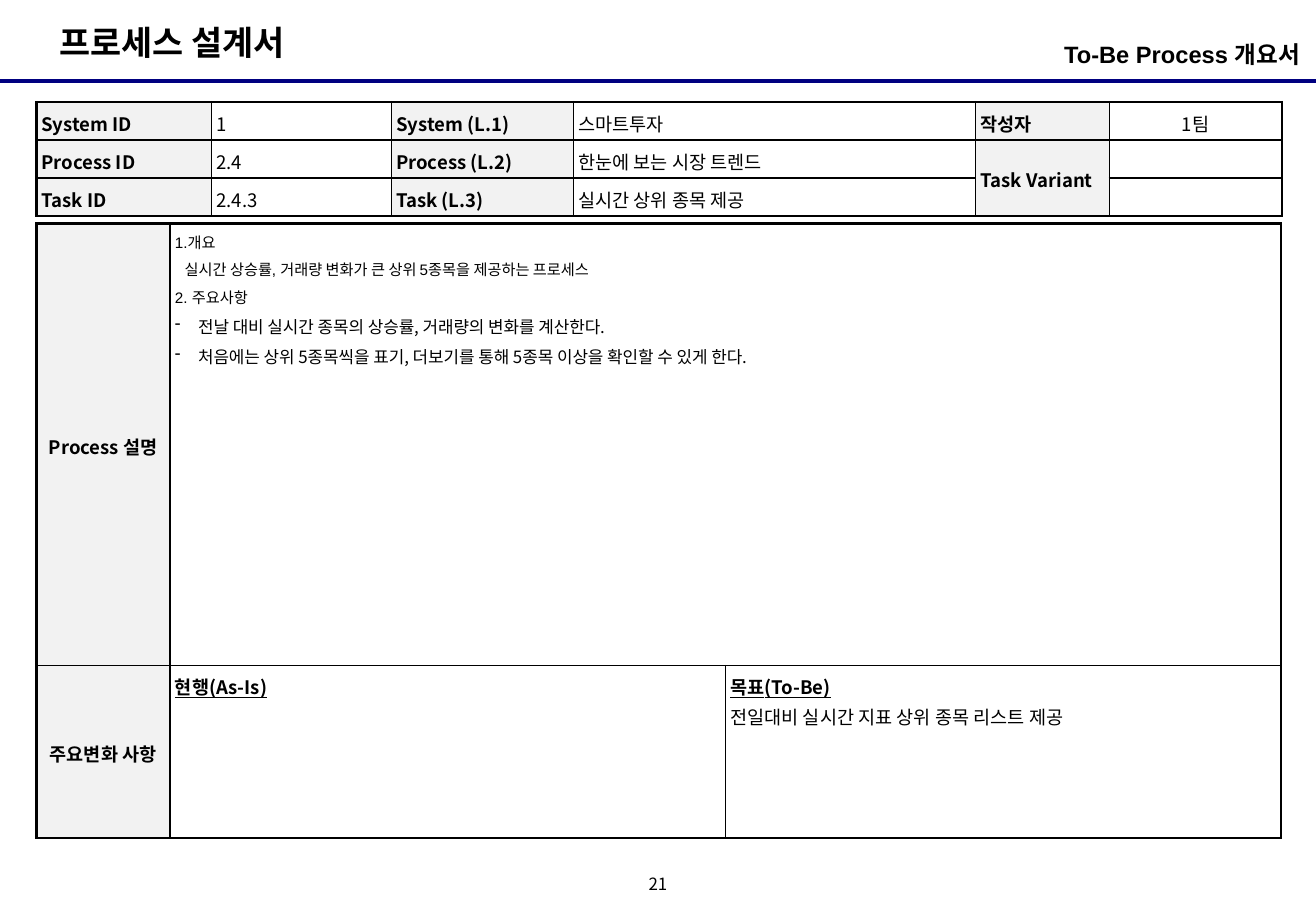
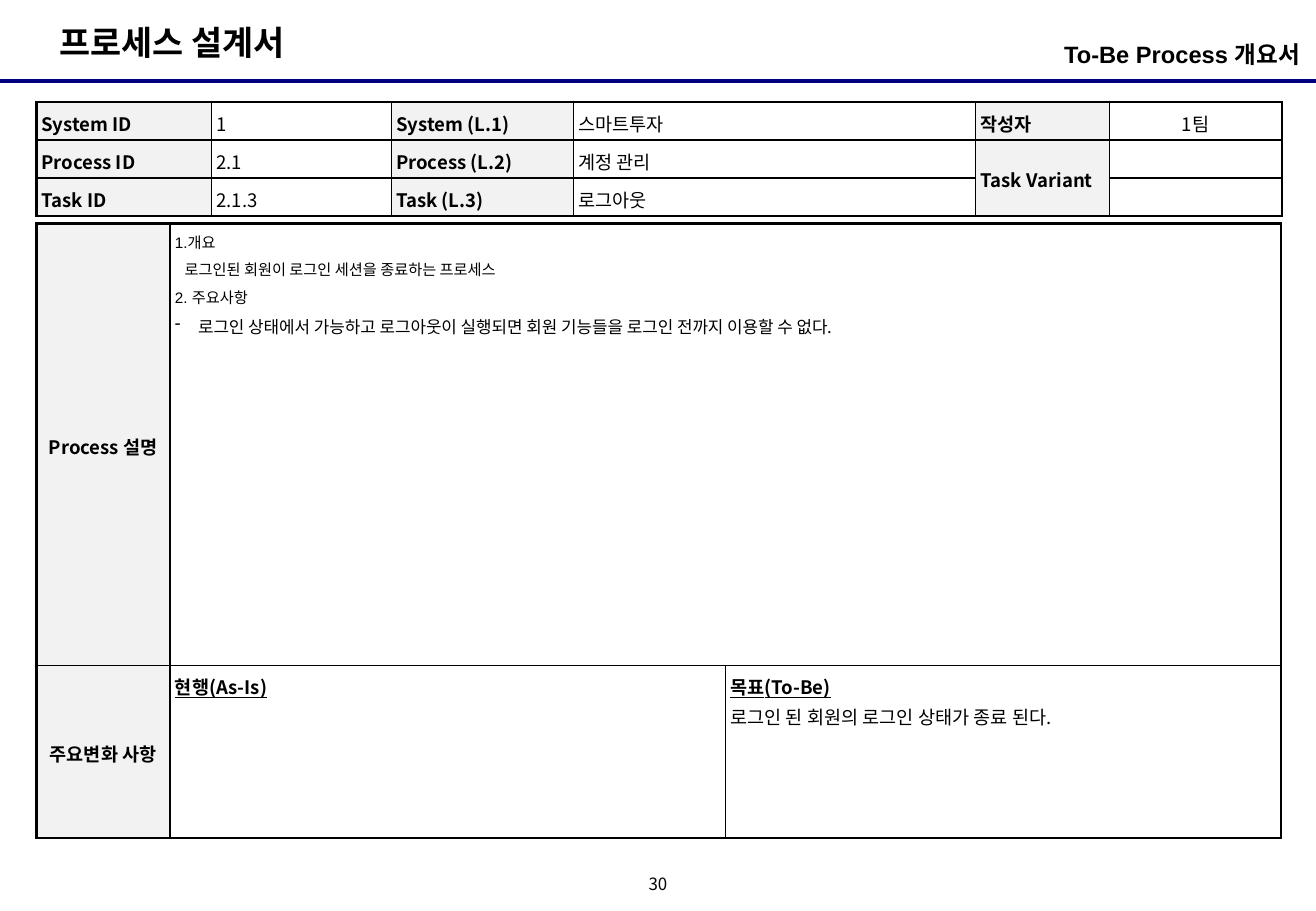
from dataclasses import dataclass

from lxml.etree import SubElement
from pptx import Presentation
from pptx.dml.color import RGBColor
from pptx.enum.shapes import MSO_CONNECTOR
from pptx.enum.text import MSO_ANCHOR, PP_ALIGN
from pptx.oxml.ns import qn
from pptx.util import Inches, Pt


@dataclass(frozen=True)
class Theme:
    """Colours, fonts, type sizes and line widths of the deck."""
    ink: str = "000000"
    navy: str = "000080"
    label_fill: str = "F2F2F2"
    paper: str = "FFFFFF"
    latin: str = "Arial"
    korean: str = "Noto Sans CJK KR"
    title: int = 20
    subtitle: int = 14
    body: int = 11
    item: int = 10
    small: int = 9
    rule: float = 2.25
    outer: float = 1.5
    inner: float = 1


@dataclass(frozen=True)
class Line:
    """One paragraph with its format."""
    text: str
    size: int
    font: str = Theme.korean
    bold: bool = False
    underline: bool = False
    align: PP_ALIGN = PP_ALIGN.LEFT
    spacing: float = 1.1
    before: int = 0
    indent: float = 0
    bullet: str = ""


@dataclass(frozen=True)
class Box:
    """A rectangle in inches."""
    left: float
    top: float
    width: float
    height: float

    def lengths(self):
        """Return the four sides as lengths."""
        return [Inches(side) for side in (self.left, self.top, self.width, self.height)]


THEME = Theme()
PAGE_WIDTH = 10.83
PAGE_HEIGHT = 7.5
TITLE_BOX = Box(0.39, 0.13, 2.26, 0.44)
SUBTITLE_BOX = Box(7.39, 0.28, 3.31, 0.39)
RULE_TOP = 0.67
NUMBER_BOX = Box(5.25, 7.17, 0.33, 0.25)
ID_BOX = Box(0.3, 0.84, 10.24, 0.94)
DETAIL_BOX = Box(0.3, 1.84, 10.24, 5.06)
CELL_MARGIN = 0.04
ID_COLUMNS = (1.44, 1.48, 1.5, 3.31, 1.1, 1.42)
LABEL_WIDTH = 1.1
DESCRIPTION_HEIGHT = 3.64

PAGES = [
    {
        "number": "21",
        "process": ("2.4", "한눈에 보는 시장 트렌드"),
        "task": ("2.4.3", "실시간 상위 종목 제공"),
        "overview": "실시간 상승률, 거래량 변화가 큰 상위 5종목을 제공하는 프로세스",
        "points": [
            "전날 대비 실시간 종목의 상승률, 거래량의 변화를 계산한다.",
            "처음에는 상위 5종목씩을 표기, 더보기를 통해 5종목 이상을 확인할 수 있게 한다.",
        ],
        "goal": "전일대비 실시간 지표 상위 종목 리스트 제공",
    },
    {
        "number": "30",
        "process": ("2.1", "계정 관리"),
        "task": ("2.1.3", "로그아웃"),
        "overview": "로그인된 회원이 로그인 세션을 종료하는 프로세스",
        "points": ["로그인 상태에서 가능하고 로그아웃이 실행되면 회원 기능들을 로그인 전까지 이용할 수 없다."],
        "goal": "로그인 된 회원의 로그인 상태가 종료 된다.",
    },
]


def apply(target, formats):
    """Set each attribute in formats on the target."""
    for name, value in formats.items():
        setattr(target, name, value)


def write_lines(frame, lines):
    """Write the lines as paragraphs of a text frame."""
    for index, line in enumerate(lines):
        para = frame.add_paragraph() if index else frame.paragraphs[0]
        apply(para, {"alignment": line.align, "line_spacing": line.spacing})
        if line.before:
            para.space_before = Pt(line.before)
        properties = para._p.get_or_add_pPr()
        if line.indent:
            properties.set("marL", str(Inches(line.indent)))
        if line.bullet:
            properties.set("indent", str(-Inches(line.indent)))
            colour = SubElement(properties, qn("a:buClr"))
            SubElement(colour, qn("a:srgbClr"), val=THEME.ink)
            SubElement(properties, qn("a:buChar"), char=line.bullet)
        span = para.add_run()
        span.text = line.text
        apply(span.font, {"size": Pt(line.size), "name": line.font,
                          "bold": line.bold, "underline": line.underline})
        span.font.color.rgb = RGBColor.from_string(THEME.ink)
        SubElement(span._r.get_or_add_rPr(), qn("a:ea"), typeface=THEME.korean)


def add_text(page, box, line, side=0, edge=0, anchor=MSO_ANCHOR.TOP):
    """Add a text box holding one line."""
    frame = page.shapes.add_textbox(*box.lengths()).text_frame
    apply(frame, {"word_wrap": True, "vertical_anchor": anchor,
                  "margin_left": Inches(side), "margin_right": Inches(side),
                  "margin_top": Inches(edge), "margin_bottom": Inches(edge)})
    write_lines(frame, [line])


def add_frame(page, number):
    """Add the title, subtitle, rule and page number."""
    rule = page.shapes.add_connector(MSO_CONNECTOR.STRAIGHT, 0, Inches(RULE_TOP),
                                     Inches(PAGE_WIDTH), Inches(RULE_TOP))
    rule.line.color.rgb = RGBColor.from_string(THEME.navy)
    rule.line.width = Pt(THEME.rule)
    SubElement(rule._element.spPr, qn("a:effectLst"))
    add_text(page, TITLE_BOX, Line("프로세스 설계서", THEME.title, THEME.latin, True, spacing=1.0),
             side=0.1, edge=0.05)
    add_text(page, SUBTITLE_BOX, Line("To-Be Process 개요서", THEME.subtitle, THEME.latin, True,
                                      align=PP_ALIGN.RIGHT, spacing=1.0), edge=0.05)
    add_text(page, NUMBER_BOX, Line(number, THEME.item, align=PP_ALIGN.CENTER, spacing=0.8),
             anchor=MSO_ANCHOR.MIDDLE)


def draw_borders(cell, edges):
    """Draw the cell's sides, heavier where they lie on the table's edge."""
    properties = cell._tc.get_or_add_tcPr()
    for side, on_edge in edges.items():
        if cell.is_spanned and not on_edge:
            continue
        width = THEME.outer if on_edge else THEME.inner
        border = SubElement(properties, qn(f"a:ln{side}"), w=str(Pt(width)))
        fill = SubElement(border, qn("a:solidFill"))
        SubElement(fill, qn("a:srgbClr"), val=THEME.ink)


def add_grid(page, box, widths, heights, contents, label_columns, middle_columns, merge):
    """Add a bordered table with shaded label columns and one merged range."""
    row_count, column_count = len(heights), len(widths)
    table = page.shapes.add_table(row_count, column_count, *box.lengths()).table
    apply(table, {"first_row": False, "horz_banding": False})
    for column, width in zip(table.columns, widths):
        column.width = Inches(width)
    for row, height in zip(table.rows, heights):
        row.height = Inches(height)
    first, last = merge
    table.cell(*first).merge(table.cell(*last))
    for row in range(row_count):
        for column in range(column_count):
            cell = table.cell(row, column)
            draw_borders(cell, {"L": column == 0,
                                "R": column + cell.span_width == column_count,
                                "T": row == 0,
                                "B": row + cell.span_height == row_count})
            shade = THEME.label_fill if column in label_columns else THEME.paper
            cell.fill.solid()
            cell.fill.fore_color.rgb = RGBColor.from_string(shade)
            sides = ("left", "right", "top", "bottom")
            apply(cell, {f"margin_{side}": Inches(CELL_MARGIN) for side in sides})
            centred = column in middle_columns
            cell.vertical_anchor = MSO_ANCHOR.MIDDLE if centred else MSO_ANCHOR.TOP
            lines = contents[row][column]
            if lines:
                write_lines(cell.text_frame, lines)
            else:
                para = cell.text_frame.paragraphs[0]
                SubElement(para._p, qn("a:endParaRPr"), sz=str(THEME.body * 100))


def label(text, **formats):
    """Return a bold table label."""
    return [Line(text, THEME.body, bold=True, **formats)]


def value(text, **formats):
    """Return a plain table value."""
    return [Line(text, THEME.body, **formats)]


def add_id_table(page, box, content):
    """Add the table of system, process and task identifiers."""
    levels = [("System", "1", "스마트투자"),
              ("Process", *content["process"]),
              ("Task", *content["task"])]
    ends = [[label("작성자"), value("1팀", align=PP_ALIGN.CENTER)],
            [label("Task Variant"), []],
            [[], []]]
    rows = [[label(f"{name} ID"), value(code), label(f"{name} (L.{depth})"), value(title), *end]
            for depth, ((name, code, title), end) in enumerate(zip(levels, ends), 1)]
    heights = [box.height / len(rows)] * len(rows)
    add_grid(page, box, ID_COLUMNS, heights, rows, label_columns=(0, 2, 4),
             middle_columns=(4, 5), merge=((1, 4), (2, 4)))


def add_detail_table(page, box, content):
    """Add the table of process description and main changes."""
    small = {"size": THEME.small, "font": THEME.latin}
    description = [Line("1.개요", **small),
                   Line(content["overview"], before=2, indent=0.08, **small),
                   Line("2. 주요사항", before=2, **small)]
    description += [Line(point, THEME.item, before=2, indent=0.19, bullet="-")
                    for point in content["points"]]
    rows = [[label("Process 설명", align=PP_ALIGN.CENTER), description, []],
            [label("주요변화 사항", align=PP_ALIGN.CENTER),
             label("현행(As-Is)", underline=True),
             label("목표(To-Be)", underline=True) + value(content["goal"])]]
    half = (box.width - LABEL_WIDTH) / 2
    heights = (DESCRIPTION_HEIGHT, box.height - DESCRIPTION_HEIGHT)
    add_grid(page, box, (LABEL_WIDTH, half, half), heights, rows, label_columns=(0,),
             middle_columns=(0,), merge=((0, 1), (0, 2)))


def main():
    """Build the deck and save it."""
    deck = Presentation()
    apply(deck, {"slide_width": Inches(PAGE_WIDTH), "slide_height": Inches(PAGE_HEIGHT)})
    for content in PAGES:
        page = deck.slides.add_slide(deck.slide_layouts[6])
        add_frame(page, content["number"])
        add_id_table(page, ID_BOX, content)
        add_detail_table(page, DETAIL_BOX, content)
    deck.save("out.pptx")


if __name__ == "__main__":
    main()
